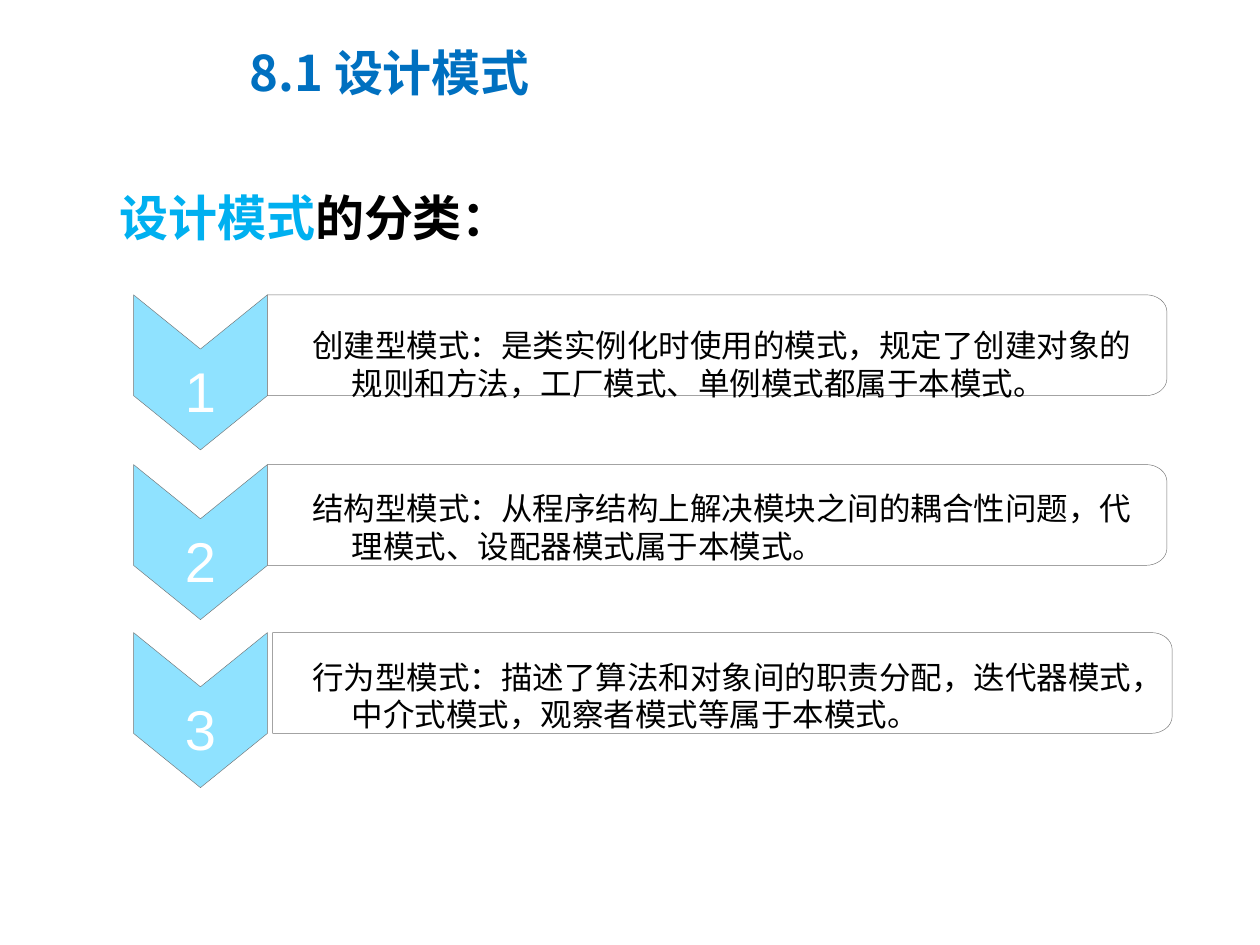
from math import cos, pi, sin

from lxml.etree import SubElement
from pptx import Presentation
from pptx.dml.color import RGBColor
from pptx.enum.text import MSO_ANCHOR as Anchor, PP_ALIGN as Align
from pptx.oxml.ns import qn
from pptx.util import Pt

COLORS = {
    "title": "0070C0",
    "accent": "00B0F0",
    "text": "000000",
    "white": "FFFFFF",
    "chevron": "8FE2FF",
    "outline": "737373",
}
CJK = "Noto Sans CJK SC"
LATIN = "Arial"

CHEVRON_LEFT, CHEVRON_WIDTH = 76.3, 76.5
SIDE_HEIGHT, NOTCH = 57.6, 31
CARD_WIDTH, CORNER_X, CORNER_Y = 514, 12, 9.6
TEXT_LEFT, TEXT_WIDTH, TEXT_HEIGHT = 171.4, 495.4, 50.4

CATEGORIES = [
    (168.5, 152.8, 181.4, "创建型模式：是类实例化时使用的模式，规定了创建对象的规则和方法，工厂模式、单例模式都属于本模式。"),
    (265.5, 152.8, 274.3, "结构型模式：从程序结构上解决模块之间的耦合性问题，代理模式、设配器模式属于本模式。"),
    (361.5, 155.8, 370.8, "行为型模式：描述了算法和对象间的职责分配，迭代器模式，中介式模式，观察者模式等属于本模式。"),
]


class PatternSlide:
    def __init__(self, slide):
        self.shapes = slide.shapes

    def color(self, name):
        return RGBColor.from_string(COLORS[name])

    def style(self, run, size, color, font=CJK, bold=False):
        run.font.size = Pt(size)
        run.font.bold = bold
        run.font.name = font
        run.font.color.rgb = self.color(color)
        SubElement(run.font._element, qn("a:ea")).set("typeface", font)

    def insets(self, frame, left, top, right, bottom):
        frame.margin_left, frame.margin_top = Pt(left), Pt(top)
        frame.margin_right, frame.margin_bottom = Pt(right), Pt(bottom)

    def text(self, shapes, box, runs, size, bold=False, left=7.2, top=3.6,
             wrap=True, anchor=Anchor.TOP, spacing=None, hanging=0):
        frame = shapes.add_textbox(*map(Pt, box)).text_frame
        frame.word_wrap = wrap
        frame.vertical_anchor = anchor
        self.insets(frame, left, top, 7.2, 3.6)
        paragraph = frame.paragraphs[0]
        if spacing:
            paragraph.line_spacing = Pt(spacing)
        if hanging:
            properties = paragraph._p.get_or_add_pPr()
            properties.set("marL", str(Pt(hanging)))
            properties.set("indent", str(-Pt(hanging)))
        for words, color in runs:
            run = paragraph.add_run()
            run.text = words
            self.style(run, size, color, bold=bold)

    def outline(self, shapes, points, fill):
        start, *rest = [(Pt(x), Pt(y)) for x, y in points]
        builder = shapes.build_freeform(*start)
        builder.add_line_segments(rest, close=True)
        shape = builder.convert_to_shape()
        shape.shadow.inherit = False
        shape.fill.solid()
        shape.fill.fore_color.rgb = self.color(fill)
        shape.line.color.rgb = self.color("outline")
        shape.line.width = Pt(0.25)
        return shape

    def chevron(self, shapes, top, number):
        left, right = CHEVRON_LEFT, CHEVRON_LEFT + CHEVRON_WIDTH
        middle, bottom = (left + right) / 2, top + SIDE_HEIGHT
        shape = self.outline(shapes, [
            (right, top), (right, bottom), (middle, bottom + NOTCH),
            (left, bottom), (left, top), (middle, top + NOTCH),
        ], "chevron")
        frame = shape.text_frame
        frame.text = str(number)
        frame.vertical_anchor = Anchor.MIDDLE
        self.insets(frame, 0.7, 20, 0.7, 0)
        frame.paragraphs[0].alignment = Align.CENTER
        self.style(frame.paragraphs[0].runs[0], 32, "white", LATIN)

    def card(self, shapes, left, top):
        center_x = left + CARD_WIDTH - CORNER_X
        bottom = top + SIDE_HEIGHT
        corners = [(top + CORNER_Y, -pi / 2), (bottom - CORNER_Y, 0)]
        arcs = [
            (center_x + CORNER_X * cos(start + step * pi / 16),
             center_y + CORNER_Y * sin(start + step * pi / 16))
            for center_y, start in corners for step in range(9)
        ]
        shape = self.outline(shapes, [(left, top), *arcs, (left, bottom)], "white")
        fill = shape.fill._xPr.find(qn("a:solidFill"))
        SubElement(fill[0], qn("a:alpha")).set("val", "90000")

    def category(self, number, top, card_left, text_top, description):
        shapes = self.shapes.add_group_shape().shapes
        self.chevron(shapes, top, number)
        self.card(shapes, card_left, top)
        self.text(shapes, (TEXT_LEFT, text_top, TEXT_WIDTH, TEXT_HEIGHT),
                  [(description, "text")], 18, top=5, spacing=21.6, hanging=22.5)


def main():
    deck = Presentation()
    deck.slide_width, deck.slide_height = Pt(720), Pt(540)
    page = PatternSlide(deck.slides.add_slide(deck.slide_layouts[6]))
    page.text(page.shapes, (129, 10.8, 405.4, 60.5), [("8.1 设计模式", "title")],
              28, bold=True, left=13.5, anchor=Anchor.MIDDLE)
    page.text(page.shapes, (61.2, 101.5, 237.6, 41),
              [("设计模式", "accent"), ("的分类：", "text")],
              28, bold=True, top=5.6, wrap=False, spacing=33.8)
    for number, category in enumerate(CATEGORIES, 1):
        page.category(number, *category)
    deck.save("out.pptx")


if __name__ == "__main__":
    main()
